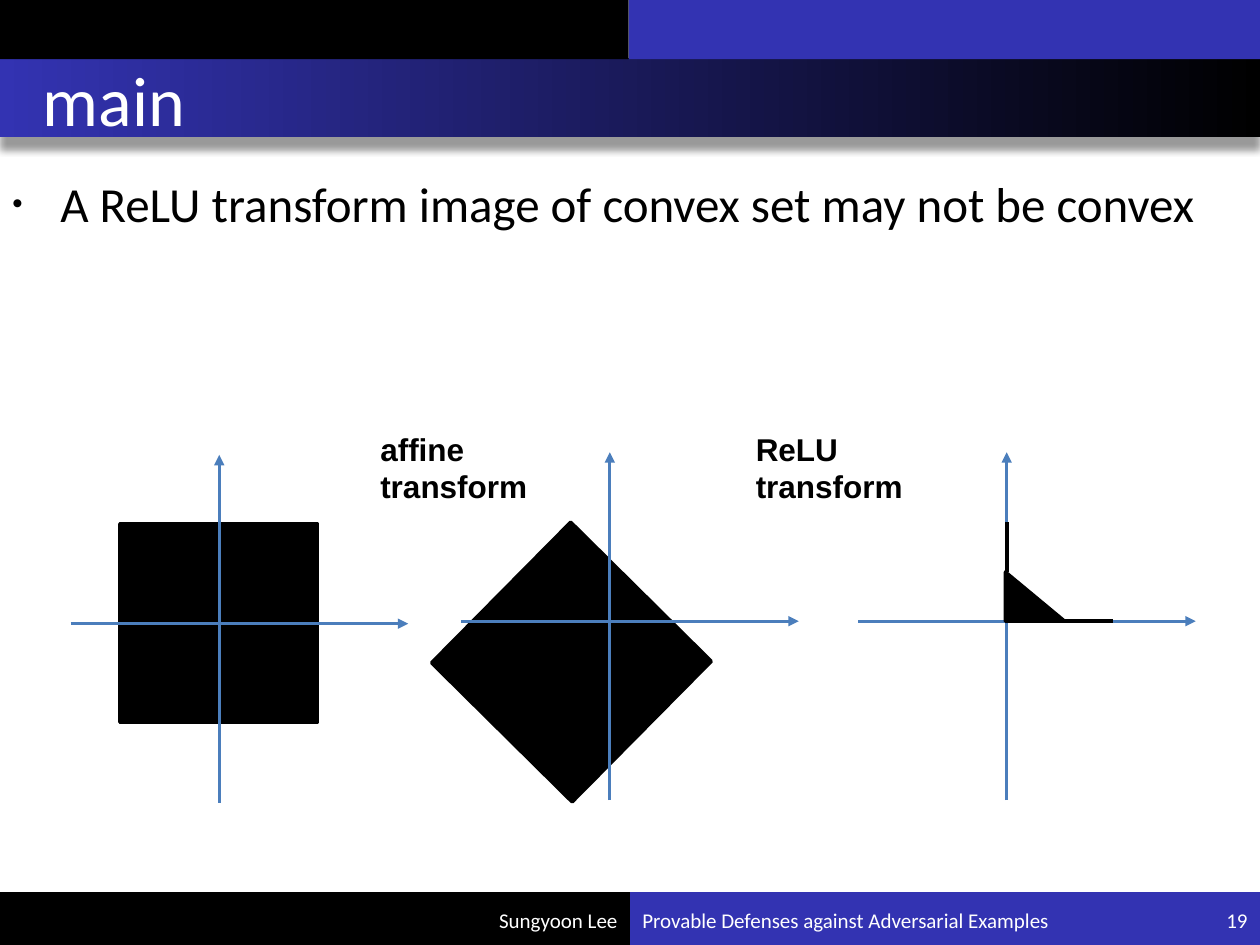
from lxml import etree
from pptx import Presentation
from pptx.dml.color import RGBColor
from pptx.enum.shapes import MSO_CONNECTOR as Link, MSO_SHAPE as Kind
from pptx.enum.text import MSO_ANCHOR as Anchor, MSO_AUTO_SIZE as Fit, PP_ALIGN as Align
from pptx.oxml.ns import qn
from pptx.util import Inches, Pt

BLACK, WHITE, BLUE, AXIS = "000000", "FFFFFF", "3333B2", "4B7EBC"


def color(code):
    return RGBColor.from_string(code)


def node(parent, tag, **attrs):
    return etree.SubElement(parent, qn(tag), {k: str(v) for k, v in attrs.items()})


def add_box(slide, kind, x, y, w, h, fill=BLACK, edge=None):
    box = slide.shapes.add_shape(kind, Inches(x), Inches(y), Inches(w), Inches(h))
    box.shadow.inherit = False
    box.fill.solid()
    box.fill.fore_color.rgb = color(fill)
    if edge:
        box.line.color.rgb = color(fill)
        box.line.width = Pt(edge)
    else:
        box.line.fill.background()
    return box


def add_band(slide):
    """Title bar: horizontal gradient with a soft shadow below."""
    band = add_box(slide, Kind.RECTANGLE, 0, 0.46, 10, 0.63)
    band.fill.gradient()
    band.fill.gradient_angle = 180
    for stop, code in zip(band.fill.gradient_stops, (BLACK, BLUE)):
        stop.color.rgb = color(code)
    effects = band._element.spPr.find(qn("a:effectLst"))
    shade = node(effects, "a:outerShdw", blurRad=Pt(4), dist=Pt(7),
                 dir=5400000, algn="t", rotWithShape=0)
    node(node(shade, "a:srgbClr", val=BLACK), "a:alpha", val=40000)


def add_line(slide, start, end, code, width, arrow=False):
    ends = [Inches(v) for v in (*start, *end)]
    line = slide.shapes.add_connector(Link.STRAIGHT, *ends)
    line.line.color.rgb = color(code)
    line.line.width = Pt(width)
    if arrow:
        node(line.line._get_or_add_ln(), "a:tailEnd", type="triangle")
    node(line._element.spPr, "a:effectLst")


def add_axes(slide, left, x, y):
    """Two arrows that cross at (x, y)."""
    add_line(slide, (left, y), (left + 2.68, y), AXIS, 1.75, True)
    add_line(slide, (x, y + 1.42), (x, y - 1.34), AXIS, 1.75, True)


def add_run(para, text, size, code, font="Calibri", bold=False):
    run = para.add_run()
    run.text = text
    run.font.size = Pt(size)
    run.font.name = font
    run.font.bold = bold
    run.font.color.rgb = color(code)


def add_frame(slide, x, y, w, h, anchor=Anchor.TOP):
    frame = slide.shapes.add_textbox(Inches(x), Inches(y), Inches(w), Inches(h)).text_frame
    frame.word_wrap = True
    frame.vertical_anchor = anchor
    return frame


def add_label(slide, x, *lines):
    frame = add_frame(slide, x, 3.36, 1.5, 0.71)
    frame.auto_size = Fit.SHAPE_TO_FIT_TEXT
    for i, text in enumerate(lines):
        para = frame.add_paragraph() if i else frame.paragraphs[0]
        add_run(para, text, 18, BLACK, "Arial", True)


def add_foot(slide, x, w, text, align):
    para = add_frame(slide, x, 7.1, w, 0.4, Anchor.MIDDLE).paragraphs[0]
    para.alignment = align
    add_run(para, text, 12, WHITE)


def add_bullet(slide, text):
    para = add_frame(slide, 0, 1.33, 9.89, 5.37).paragraphs[0]
    para.space_before = Pt(5.6)
    props = para._p.get_or_add_pPr()
    props.set("marL", str(Inches(0.38)))
    props.set("indent", str(Inches(-0.38)))
    node(props, "a:buSzPct", val=60000)
    node(props, "a:buFont", typeface="Arial")
    node(props, "a:buChar", char="•")
    add_run(para, text, 28, BLACK)


def set_title(slide, text):
    title = slide.shapes.title
    title.left, title.top = Inches(0.04), Inches(0.46)
    title.width, title.height = Inches(9.85), Inches(0.64)
    frame = title.text_frame
    frame.auto_size = Fit.NONE
    frame.vertical_anchor = Anchor.MIDDLE
    para = frame.paragraphs[0]
    para.alignment = Align.LEFT
    para._p.get_or_add_pPr().set("marL", str(Inches(0.2)))
    add_run(para, text, 40, WHITE)
    slide.shapes._spTree.append(title._element)  # in front of the band


def add_plots(slide):
    add_box(slide, Kind.RECTANGLE, 0.95, 4.16, 1.57, 1.57, edge=2)
    add_axes(slide, 0.56, 1.74, 4.95)

    turned = add_box(slide, Kind.RECTANGLE, 3.75, 4.47, 1.57, 1.57, edge=2)
    turned.rotation = 44.7
    add_axes(slide, 3.66, 4.84, 4.93)

    add_axes(slide, 6.81, 7.99, 4.93)
    wedge = add_box(slide, Kind.ISOSCELES_TRIANGLE, 7.98, 4.54, 0.47, 0.39, edge=2)
    wedge.adjustments[0] = 0
    add_line(slide, (7.99, 4.54), (7.99, 4.14), BLACK, 2.5)
    add_line(slide, (8.45, 4.93), (8.83, 4.93), BLACK, 2.5)

    add_label(slide, 2.92, "affine transform")
    add_label(slide, 5.9, "ReLU", "transform")


def main():
    deck = Presentation()
    deck.slide_width, deck.slide_height = Inches(10), Inches(7.5)
    slide = deck.slides.add_slide(deck.slide_layouts[5])

    add_box(slide, Kind.RECTANGLE, 5, 7.08, 5, 0.42, BLUE)
    add_box(slide, Kind.RECTANGLE, 0, 7.08, 5, 0.42)
    add_band(slide)
    add_box(slide, Kind.RECTANGLE, -0.01, -0.01, 5, 0.48)
    add_box(slide, Kind.RECTANGLE, 4.99, -0.01, 5.01, 0.48, BLUE)

    set_title(slide, "main")
    add_bullet(slide, "A ReLU transform image of convex set may not be convex")
    add_foot(slide, 1.17, 3.83, "Sungyoon Lee", Align.RIGHT)
    add_foot(slide, 5, 3.83, "Provable Defenses against Adversarial Examples", Align.LEFT)
    add_foot(slide, 8.83, 1.17, "19", Align.RIGHT)
    add_plots(slide)
    deck.save("out.pptx")


if __name__ == "__main__":
    main()
